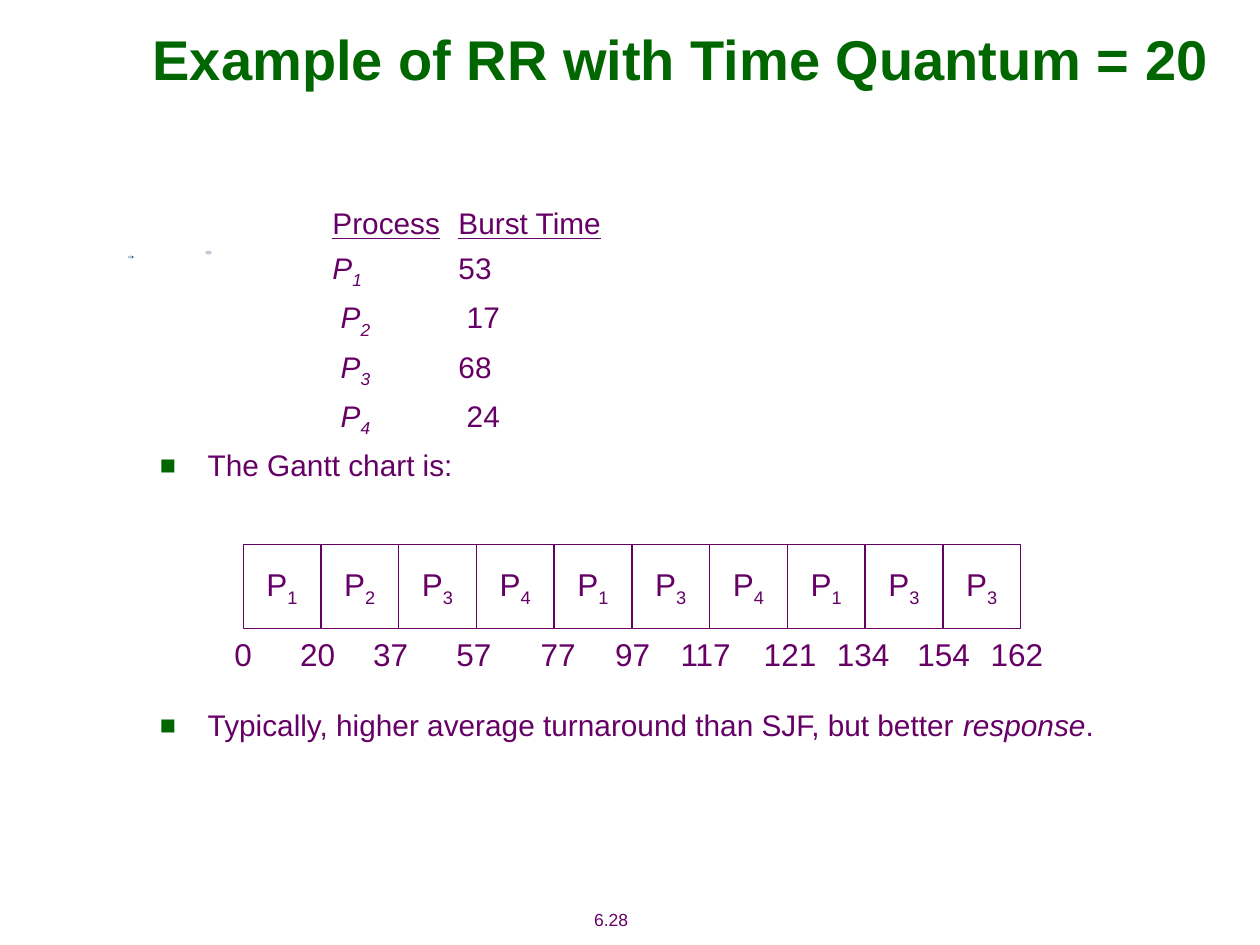
from dataclasses import dataclass
from math import cos, pi, sin

from lxml import etree
from pptx import Presentation
from pptx.dml.color import RGBColor
from pptx.enum.shapes import MSO_SHAPE
from pptx.enum.text import MSO_ANCHOR, PP_ALIGN
from pptx.oxml.ns import qn
from pptx.util import Inches, Pt

RECT = MSO_SHAPE.RECTANGLE
MIDDLE = MSO_ANCHOR.MIDDLE
CENTER = PP_ALIGN.CENTER
LEFT = PP_ALIGN.LEFT


@dataclass(frozen=True)
class Theme:
    font: str = "Arial"
    green: str = "006600"
    purple: str = "660066"
    white: str = "FFFFFF"
    navy: str = "284C70"
    pale: str = "BFCCD8"
    title: float = 32
    body: float = 17
    chart: float = 18
    footer: float = 10


THEME = Theme()

# Each row is a list of runs: text and style (u underline, i italic, s subscript)
PROCESS_ROWS = [
    [("\t", ""), ("Process", "u"), ("\t", ""), ("Burst Time", "u")],
    [("\tP", "i"), ("1", "is"), ("\t53", "")],
    [("\t ", ""), ("P", "i"), ("2", "is"), ("\t 17", "")],
    [("\t ", ""), ("P", "i"), ("3", "is"), ("\t68", "")],
    [("\t ", ""), ("P", "i"), ("4", "is"), ("\t 24", "")],
]
GANTT_ORDER = "1234134133"
# Time and the centre of its label
TIMES = [(0, 1.93), (20, 2.52), (37, 3.1), (57, 3.76), (77, 4.43), (97, 5.02),
         (117, 5.6), (121, 6.27), (134, 6.85), (154, 7.49), (162, 8.07)]


def rgb(color):
    return RGBColor.from_string(color)


def write(p, runs, size, color=THEME.purple, bold=False, align=CENTER):
    p.alignment = align
    for text, style in runs:
        r = p.add_run()
        r.text = text
        r.font.name = THEME.font
        r.font.size = Pt(size)
        r.font.color.rgb = rgb(color)
        r.font.bold = bold
        r.font.italic = "i" in style
        r.font.underline = "u" in style
        if "s" in style:
            r._r.get_or_add_rPr().set("baseline", "-25000")


def add_child(parent, tag, **attrs):
    return etree.SubElement(parent, qn(tag), attrs)


def set_tabs(p, *stops):
    tabs = add_child(p._p.get_or_add_pPr(), "a:tabLst")
    for stop in stops:
        add_child(tabs, "a:tab", pos=str(Inches(stop)), algn="l")


def set_bullet(p):
    pPr = p._p.get_or_add_pPr()
    pPr.set("marL", str(Inches(0.38)))
    pPr.set("indent", str(Inches(-0.38)))
    color = add_child(pPr, "a:buClr")
    add_child(color, "a:srgbClr", val=THEME.green)
    add_child(pPr, "a:buSzPct", val="90000")
    add_child(pPr, "a:buFont", typeface=THEME.font)
    add_child(pPr, "a:buChar", char="■")


def add_label(slide, text, center, top, width, height, size):
    sp = slide.shapes.add_textbox(Inches(center - width / 2), Inches(top),
                                  Inches(width), Inches(height))
    tf = sp.text_frame
    tf.word_wrap = False
    tf.vertical_anchor = MIDDLE
    write(tf.paragraphs[0], [(text, "")], size)


def add_speck(slide, left, top, width, height, color):
    rx, ry = width / 2, height / 2
    angles = [2 * pi * i / 16 for i in range(16)]
    points = [(Inches(left + rx + rx * cos(a)), Inches(top + ry + ry * sin(a)))
              for a in angles]
    builder = slide.shapes.build_freeform(*points[0])
    builder.add_line_segments(points[1:], close=True)
    sp = builder.convert_to_shape()
    sp.shadow.inherit = False
    sp.fill.solid()
    sp.fill.fore_color.rgb = rgb(color)
    sp.line.fill.background()


def add_title(slide, text):
    sp = slide.shapes.title
    sp.left, sp.top = Inches(1), Inches(0)
    sp.width, sp.height = Inches(8.81), Inches(0.92)
    sp.text_frame.vertical_anchor = MIDDLE
    write(sp.text_frame.paragraphs[0], [(text, "")], THEME.title, THEME.green, bold=True)


def add_body(slide):
    sp = slide.shapes.add_textbox(Inches(1.17), Inches(1.58), Inches(7.69), Inches(4.5))
    tf = sp.text_frame
    tf.word_wrap = True
    p = tf.paragraphs[0]
    for row in PROCESS_ROWS:
        if p.runs:
            p = tf.add_paragraph()
        p.space_before = Pt(5)
        write(p, row, THEME.body, align=LEFT)
        set_tabs(p, 1.37, 2.37)
    # The second bullet stands below the Gantt chart
    bullets = [
        (5, [("The Gantt chart is:", "")]),
        (128, [("Typically, higher average turnaround than SJF, but better ", ""),
               ("response", "i"), (".", "")]),
    ]
    for gap, runs in bullets:
        p = tf.add_paragraph()
        p.space_before = Pt(gap)
        write(p, runs, THEME.body, align=LEFT)
        set_bullet(p)


def add_gantt(slide):
    left, top, pitch, height = 1.93, 4.32, 0.617, 0.67
    for i, process in enumerate(GANTT_ORDER):
        sp = slide.shapes.add_shape(RECT, Inches(left + i * pitch), Inches(top),
                                    Inches(pitch), Inches(height))
        sp.shadow.inherit = False
        sp.fill.solid()
        sp.fill.fore_color.rgb = rgb(THEME.white)
        sp.line.color.rgb = rgb(THEME.purple)
        sp.line.width = Pt(0.75)
        tf = sp.text_frame
        tf.word_wrap = False
        tf.vertical_anchor = MIDDLE
        write(tf.paragraphs[0], [("P", ""), (process, "s")], THEME.chart)
    for time, center in TIMES:
        text = str(time)
        add_label(slide, text, center, top + height, 0.2 + 0.14 * len(text), 0.4, THEME.chart)


def main():
    prs = Presentation()
    prs.slide_width, prs.slide_height = Inches(10), Inches(7.5)
    slide = prs.slides.add_slide(prs.slide_layouts[5])

    # Page number and small background marks
    add_label(slide, "6.28", 4.85, 7.16, 0.94, 0.27, THEME.footer)
    add_speck(slide, 1.02, 2.03, 0.04, 0.02, THEME.navy)
    add_speck(slide, 1.02, 2.03, 0.03, 0.02, THEME.pale)
    add_speck(slide, 1.63, 1.99, 0.05, 0.03, THEME.pale)

    # Content
    add_title(slide, "Example of RR with Time Quantum = 20")
    add_body(slide)
    add_gantt(slide)

    prs.save("out.pptx")


if __name__ == "__main__":
    main()
